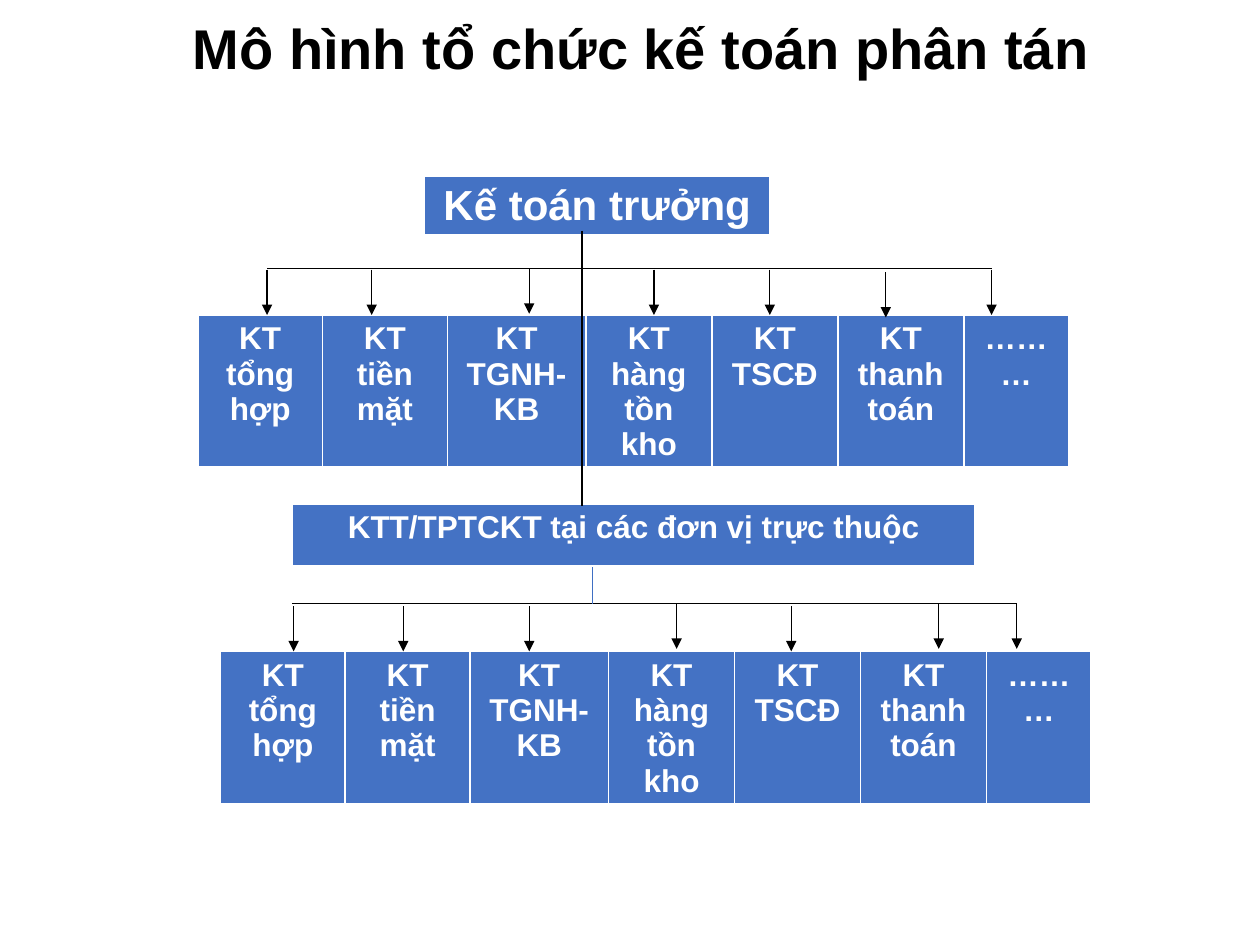
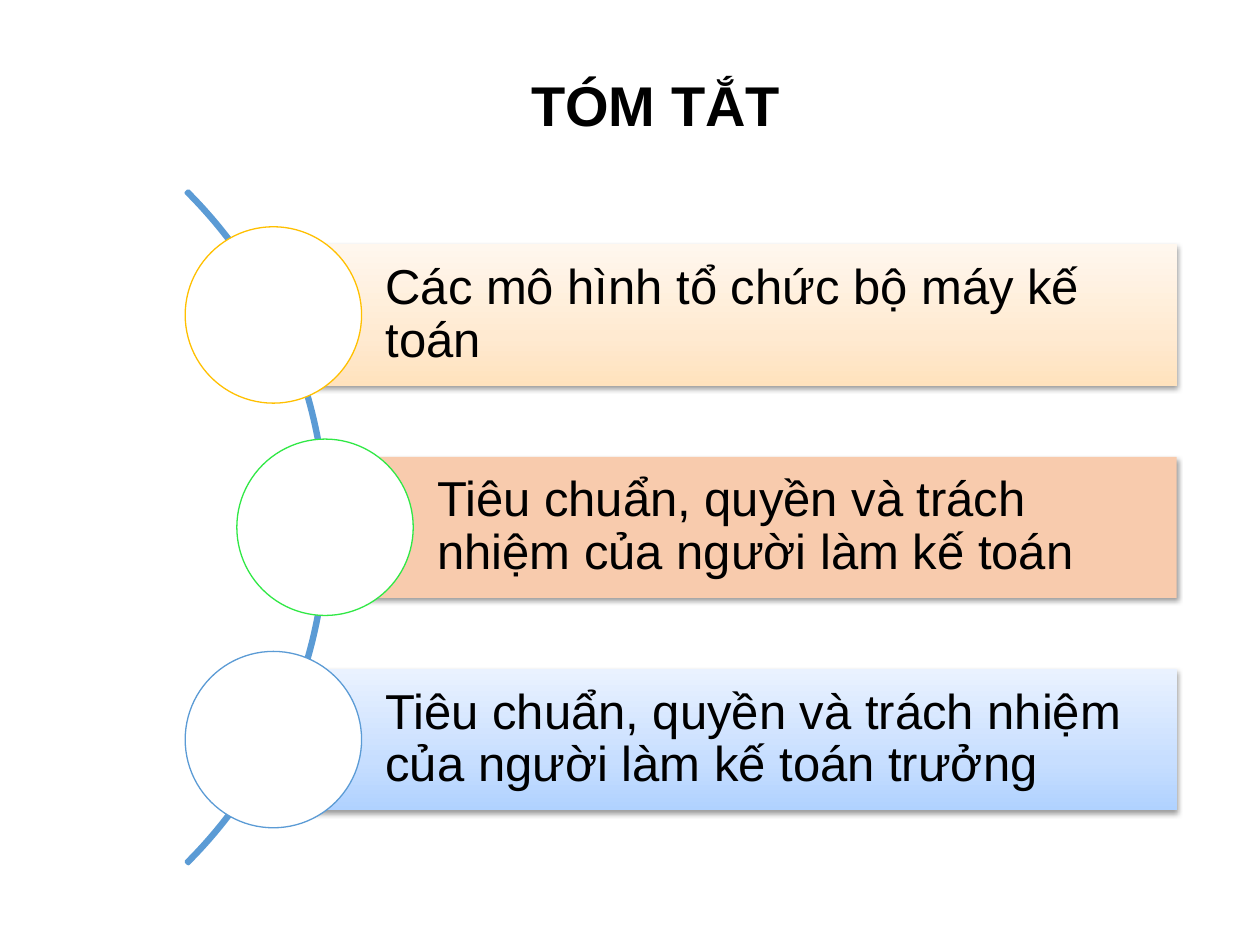
import pptx
import pptx.util
import pptx.dml.color
import pptx.enum.shapes
import pptx.enum.text
import pptx.oxml
import pptx.oxml.ns
from lxml import etree
from pptx.util import Inches

COLORS = {
    "black": "000000", "white": "FFFFFF", "cell": "4472C4", "link": "3F6FC3",
    "arc": "5B9BD5", "gold": "FFC000", "green": "30E845", "peach": "F8CBAD",
}
ORANGE_FADE = [(0, "FFE2BD"), (35, "FFEAD1"), (100, "FFF7EE")]
BLUE_FADE = [(0, "B0D2FF"), (35, "C7DEFF"), (100, "EAF2FF")]
FONT = "Arial"
ALIGN = pptx.enum.text.PP_ALIGN
ANCHOR = pptx.enum.text.MSO_ANCHOR
SHAPE = pptx.enum.shapes.MSO_SHAPE
qn = pptx.oxml.ns.qn


def rgb(name):
    return pptx.dml.color.RGBColor.from_string(COLORS[name])


def add_xml(parent, tag, **attrs):
    return etree.SubElement(parent, qn(tag), attrs)


class Deck:
    """Holds the style and the current slide."""

    def __init__(self):
        self.prs = pptx.Presentation()
        self.prs.slide_width, self.prs.slide_height = Inches(10), Inches(7.5)
        self.s = None

    def add_slide(self):
        self.s = self.prs.slides.add_slide(self.prs.slide_layouts[5])

    def add_text(self, p, text, size, color, bold=False, align=ALIGN.CENTER):
        p.alignment = align
        r = p.add_run()
        r.text = text
        r.font.name, r.font.size, r.font.bold = FONT, pptx.util.Pt(size), bold
        r.font.color.rgb = rgb(color)

    def title(self, text, x, y, w, h, align):
        sp = self.s.shapes.title
        sp.left, sp.top, sp.width, sp.height = map(Inches, (x, y, w, h))
        tf = sp.text_frame
        tf.word_wrap = True
        tf.auto_size = pptx.enum.text.MSO_AUTO_SIZE.NONE
        tf.vertical_anchor = ANCHOR.MIDDLE
        self.add_text(tf.paragraphs[0], text, 32, "black", True, align)
        return tf.paragraphs[0]

    def table(self, texts, x, y, widths, height, size=18):
        frame = self.s.shapes.add_table(1, len(texts), Inches(x), Inches(y),
                                        Inches(sum(widths)), Inches(height))
        table = frame.table
        table.rows[0].height = Inches(height)
        for i, (text, width) in enumerate(zip(texts, widths)):
            table.columns[i].width = Inches(width)
            cell = table.cell(0, i)
            self.borders(cell)
            cell.fill.solid()
            cell.fill.fore_color.rgb = rgb("cell")
            self.add_text(cell.text_frame.paragraphs[0], text, size, "white", True)

    def borders(self, cell):
        tcPr = cell._tc.get_or_add_tcPr()
        for side, points in (("L", 1), ("R", 1), ("T", 1), ("B", 3)):
            ln = add_xml(tcPr, f"a:ln{side}", w=str(pptx.util.Pt(points)))
            add_xml(add_xml(ln, "a:solidFill"), "a:srgbClr", val=COLORS["white"])

    def line(self, x1, y1, x2, y2, color="black", arrow=False):
        cn = self.s.shapes.add_connector(
            pptx.enum.shapes.MSO_CONNECTOR.STRAIGHT,
            Inches(x1), Inches(y1), Inches(x2), Inches(y2))
        cn.line.color.rgb = rgb(color)
        cn.line.width = pptx.util.Pt(0.75)
        if arrow:
            add_xml(cn.line._get_or_add_ln(), "a:tailEnd", type="triangle")
        add_xml(cn._element.spPr, "a:effectLst")

    def shape(self, kind, x, y, w, h, fill=None, line=None, width=0.75):
        sp = self.s.shapes.add_shape(kind, Inches(x), Inches(y), Inches(w), Inches(h))
        if isinstance(fill, list):
            self.gradient(sp, fill)
        elif fill:
            sp.fill.solid()
            sp.fill.fore_color.rgb = rgb(fill)
        else:
            sp.fill.background()
        if line:
            sp.line.color.rgb = rgb(line)
            sp.line.width = pptx.util.Pt(width)
        else:
            sp.line.fill.background()
        sp.shadow.inherit = False
        return sp

    def gradient(self, sp, stops):
        sp.fill.gradient()
        grad = sp._element.spPr.find(qn("a:gradFill"))
        for child in list(grad):
            grad.remove(child)
        gs_list = add_xml(grad, "a:gsLst")
        for pos, color in stops:
            gs = add_xml(gs_list, "a:gs", pos=str(pos * 1000))
            add_xml(gs, "a:srgbClr", val=color)
        add_xml(grad, "a:lin", ang=str(270 * 60000), scaled="0")

    def drop_shadow(self, sp):
        effects = sp._element.spPr.find(qn("a:effectLst"))
        shadow = add_xml(effects, "a:outerShdw", blurRad=str(pptx.util.Pt(3.1)),
                         dist=str(pptx.util.Pt(1.6)), dir=str(90 * 60000),
                         rotWithShape="0")
        clr = add_xml(shadow, "a:srgbClr", val=COLORS["black"])
        add_xml(clr, "a:alpha", val="38000")

    def summary_bar(self, text, x, y, fill, ring):
        bar = self.shape(SHAPE.RECTANGLE, x, y, 9.34 - x, 1.12, fill)
        self.drop_shadow(bar)
        tf = bar.text_frame
        tf.word_wrap = True
        tf.vertical_anchor = ANCHOR.MIDDLE
        tf.margin_left = Inches(0.89)
        tf.margin_top = tf.margin_right = tf.margin_bottom = Inches(0.08)
        tf.paragraphs[0].line_spacing = 0.9
        self.add_text(tf.paragraphs[0], text, 28, "black", align=ALIGN.LEFT)
        self.shape(SHAPE.OVAL, x - 0.7, y - 0.14, 1.4, 1.4, "white", ring)


def organisation_slide(deck):
    deck.add_slide()
    p = deck.title("Mô hình tổ chức kế toán phân tán", 1.43, -0.18, 7.49, 1.03,
                   ALIGN.JUSTIFY)
    p.line_spacing = 1.15
    p.space_after = pptx.util.Pt(8)

    # Chief accountants and their teams
    teams = ["KT tổng hợp", "KT tiền mặt", "KT TGNH-KB", "KT hàng tồn kho",
             "KT TSCĐ", "KT thanh toán", "………"]
    team_widths = [0.99, 0.99, 1.1, 1, 1, 1, 0.83]
    deck.table(["Kế toán trưởng"], 3.37, 1.4, [2.74], 0.41, 24)
    for x, y in ((1.57, 2.5), (1.75, 5.17)):
        deck.table(teams, x, y, team_widths, 1.19)
    deck.table(["KTT/TPTCKT tại các đơn vị trực thuộc"], 2.32, 4, [5.42], 0.5)

    # Trunk, then each branch line with its arrows as (x, gap below the line)
    deck.line(4.62, 1.83, 4.62, 4.02)
    branches = [
        (2.12, 2.13, [(2.12, 0.01), (2.95, 0.01), (4.2, 0), (5.19, 0.01),
                      (6.11, 0.01), (7.03, 0.03), (7.87, 0.01)]),
        (2.32, 4.79, [(2.33, 0.02), (3.2, 0.02), (4.2, 0.02), (5.37, 0),
                      (6.28, 0.02), (7.45, 0), (8.07, 0)]),
    ]
    for left, y, arrows in branches:
        deck.line(left, y, left + 5.75, y)
        for x, gap in arrows:
            deck.line(x, y + gap, x, y + gap + 0.36, arrow=True)
    deck.line(4.7, 4.5, 4.7, 4.79, "link")


def summary_slide(deck):
    deck.add_slide()
    deck.title("TÓM TẮT", 2.73, 0.51, 4.95, 0.64, ALIGN.CENTER)

    # Arc behind the bars
    arc = deck.shape(SHAPE.BLOCK_ARC, -4.95, 0.41, 7.55, 7.55, line="arc", width=2)
    for i, value in enumerate((189, 27, 0.003)):
        arc.adjustments[i] = value

    # Bars with their circles
    bars = [
        ("Các mô hình tổ chức bộ máy kế toán", 2.17, ORANGE_FADE, "gold"),
        ("Tiêu chuẩn, quyền và trách nhiệm của người làm kế toán",
         2.58, "peach", "green"),
        ("Tiêu chuẩn, quyền và trách nhiệm của người làm kế toán trưởng",
         2.17, BLUE_FADE, "arc"),
    ]
    top, last = 1.94, 5.31
    step = (last - top) / (len(bars) - 1)
    for i, (text, x, fill, ring) in enumerate(bars):
        deck.summary_bar(text, x, top + i * step, fill, ring)


def main():
    deck = Deck()
    organisation_slide(deck)
    summary_slide(deck)
    deck.prs.save("out.pptx")


if __name__ == "__main__":
    main()
